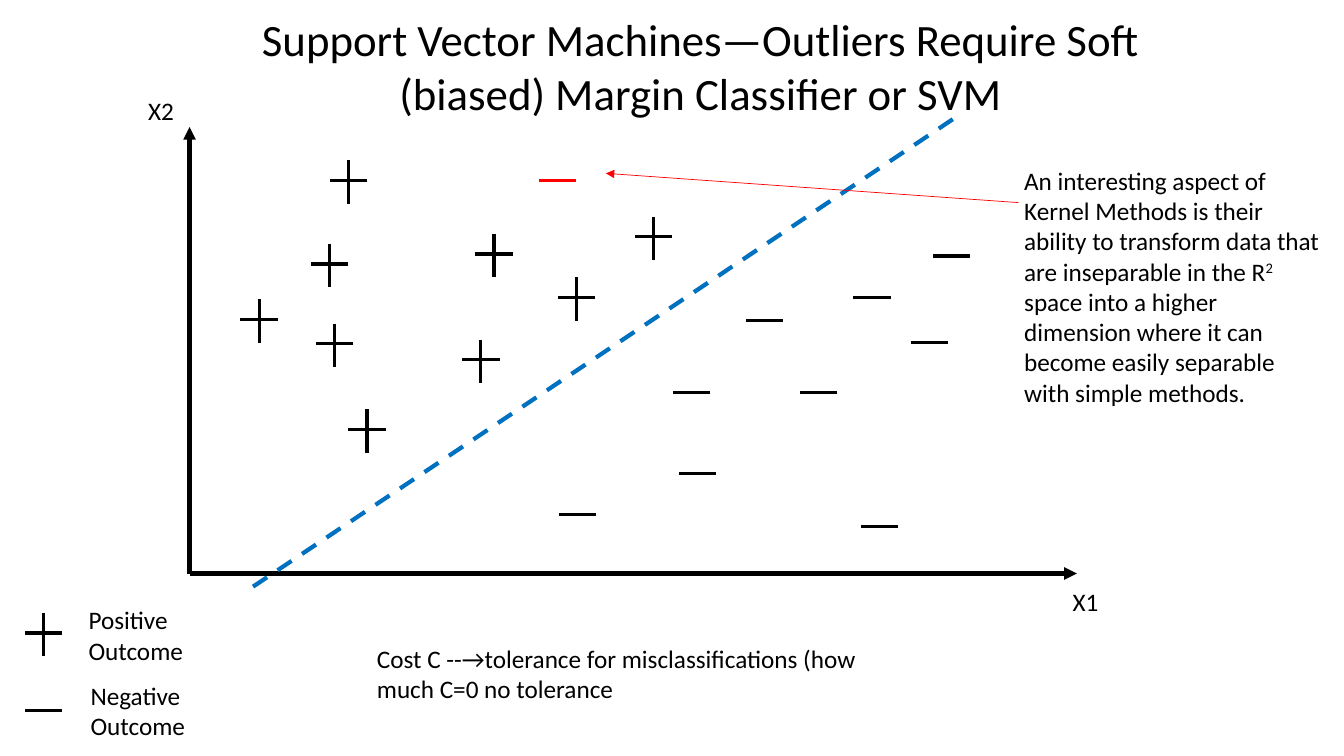
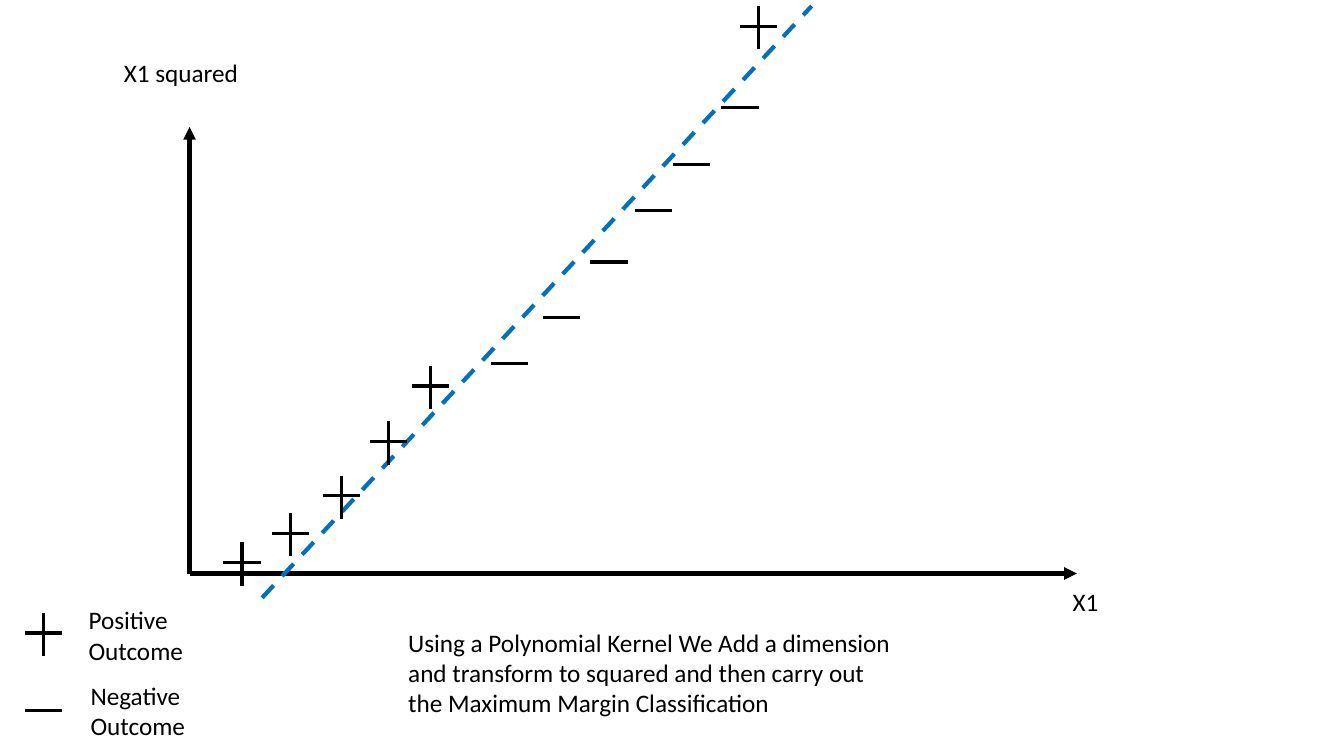
from pptx import Presentation
from pptx.dml.color import RGBColor
from pptx.enum.dml import MSO_LINE as Dash
from pptx.enum.shapes import MSO_CONNECTOR as Conn
from pptx.enum.text import MSO_AUTO_SIZE as Fit, PP_ALIGN as Align
from pptx.oxml.ns import qn
from pptx.util import Inches, Pt
from lxml import etree

FONT = "Calibri"
BLACK, BLUE, RED = "000000", "0070C0", "FF0000"
BOX = (1.88, 1.26, 8.8, 4.43)
KEY = (0.25, 5.95)
BAR = 0.37
UP, DOWN = 0.2, 0.23


def rgb(code):
    return RGBColor.from_string(code)


def line(shapes, start, end, color=BLACK, width=2.25, dash=None, arrow=False):
    link = shapes.add_connector(Conn.STRAIGHT, *map(Inches, (*start, *end)))
    link.line.color.rgb = rgb(color)
    link.line.width = Pt(width)
    if dash:
        link.line.dash_style = dash
    props = link._element.spPr
    if arrow:
        etree.SubElement(props.find(qn("a:ln")), qn("a:tailEnd"), type="triangle")
    etree.SubElement(props, qn("a:effectLst"))


def text(slide, words, left, top, width, height, size=18, align=Align.LEFT):
    """Place a text box; words is a string or a list of (string, raised) pairs."""
    box = slide.shapes.add_textbox(*map(Inches, (left, top, width, height)))
    frame = box.text_frame
    frame.word_wrap = True
    frame.auto_size = Fit.SHAPE_TO_FIT_TEXT
    para = frame.paragraphs[0]
    para.alignment = align
    pairs = [(words, False)] if isinstance(words, str) else words
    for part, raised in pairs:
        run = para.add_run()
        run.text = part
        run.font.name = FONT
        run.font.size = Pt(size)
        run.font.color.rgb = rgb(BLACK)
        if raised:
            run._r.get_or_add_rPr().set("baseline", "30000")


def minus(shapes, x, y, color=BLACK):
    line(shapes, (x + BAR / 2, y), (x - BAR / 2, y), color)


def plus(shapes, x, y):
    group = shapes.add_group_shape().shapes
    line(group, (x, y - UP), (x, y + DOWN))
    minus(group, x, y)


def plot(slide, box, border, pluses, minuses, outliers=()):
    """Draw axes, border line and marks; points count right and up from the origin."""
    left, top, width, height = box
    base = top + height
    shapes = slide.shapes

    def spot(point):
        return left + point[0], base - point[1]

    for end in ((0, height), (width, 0)):
        line(shapes, spot((0, 0)), spot(end), width=3, arrow=True)
    line(shapes, *map(spot, border), color=BLUE, width=3, dash=Dash.DASH)
    for point in pluses:
        plus(shapes, *spot(point))
    for point in minuses:
        minus(shapes, *spot(point))
    for point in outliers:
        minus(shapes, *spot(point), color=RED)
    text(slide, "X1", left + width - 0.14, base + 0.08, 1.51, 0.4)


def legend(slide, left, top):
    mid = left + BAR / 2
    plus(slide.shapes, mid, top + 0.33)
    text(slide, "Positive Outcome", left + 0.53, top, 1.77, 0.71)
    minus(slide.shapes, mid, top + 1.1)
    text(slide, "Negative Outcome", left + 0.55, top + 0.75, 1.77, 0.71)


def chart(deck, *marks):
    slide = deck.slides.add_slide(deck.slide_layouts[6])
    plot(slide, BOX, *marks)
    legend(slide, *KEY)
    return slide


def soft(deck):
    slide = chart(
        deck,
        [(0.63, -0.13), (7.59, 4.52)],
        [(0.69, 2.52), (1.44, 2.28), (1.76, 1.43), (1.39, 3.07), (2.89, 2.12),
         (1.58, 3.9), (3.84, 2.74), (3.02, 3.17), (4.6, 3.34)],
        [(5.7, 2.51), (6.84, 0.47), (6.77, 2.74), (4.98, 1.8), (7.34, 2.29),
         (6.24, 1.8), (3.85, 0.59), (7.56, 3.15), (5.04, 0.99)],
        [(3.65, 3.9)],
    )
    text(slide, "X2", 1.37, 0.9, 1.51, 0.4)
    text(slide, "Support Vector Machines—Outliers Require Soft (biased) "
         "Margin Classifier or SVM", 1.86, 0.07, 10.18, 1.18,
         size=32, align=Align.CENTER)
    text(slide, [
        ("An interesting aspect of Kernel Methods is their ability to "
         "transform data that are inseparable in the R", False),
        ("2", True),
        (" space into a higher dimension where it can become easily "
         "separable with simple methods.", False),
    ], 10.06, 1.59, 3.16, 2.52)
    line(slide.shapes, (10.1, 2.01), (6.01, 1.72), RED, 0.5, arrow=True)
    text(slide, "Cost C --→tolerance for misclassifications (how much C=0 "
         "no tolerance", 3.64, 6.33, 5.53, 0.71)


def kernel(deck):
    slide = chart(
        deck,
        [(0.72, -0.24), (6.17, 5.63)],
        [(0.52, 0.11), (1, 0.4), (1.51, 0.77), (1.97, 1.31), (2.39, 1.86),
         (5.64, 5.43)],
        [(4.98, 4.06), (4.6, 3.6), (5.46, 4.62), (3.69, 2.54), (4.16, 3.09),
         (3.17, 2.08)],
    )
    text(slide, "X1 squared", 1.13, 0.52, 3.14, 0.4)
    text(slide, "Using a Polynomial Kernel We Add a dimension and transform to "
         "squared and then carry out the Maximum Margin Classification",
         3.95, 6.17, 4.99, 1.01)


def main():
    deck = Presentation()
    deck.slide_width = Inches(13.33)
    deck.slide_height = Inches(7.5)
    soft(deck)
    kernel(deck)
    deck.save("out.pptx")


if __name__ == "__main__":
    main()
